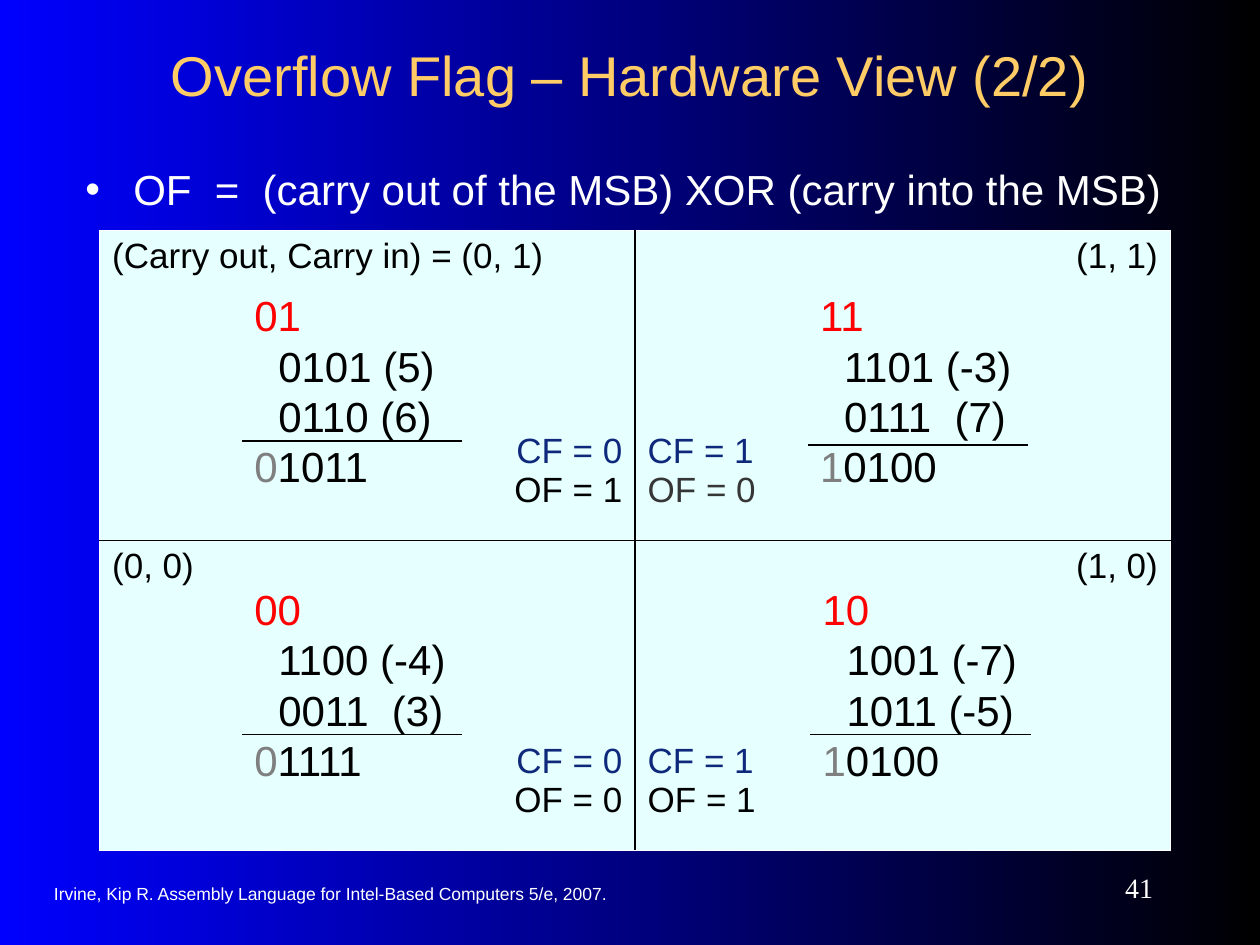
from lxml.etree import SubElement
from pptx import Presentation
from pptx.dml.color import RGBColor
from pptx.enum.shapes import MSO_CONNECTOR
from pptx.enum.text import MSO_ANCHOR, PP_ALIGN
from pptx.oxml.ns import qn
from pptx.util import Inches, Pt

BLUE = RGBColor(0x00, 0x00, 0xFF)
BLACK = RGBColor(0x00, 0x00, 0x00)
WHITE = RGBColor(0xFF, 0xFF, 0xFF)
GOLD = RGBColor(0xFF, 0xCC, 0x66)
NAVY = RGBColor(0x0E, 0x29, 0x7B)
DARK = RGBColor(0x36, 0x36, 0x36)
GRAY = RGBColor(0x7F, 0x7F, 0x7F)
RED = RGBColor(0xFF, 0x00, 0x00)
PALE = RGBColor(0xE6, 0xFF, 0xFF)

LEFT, RIGHT = PP_ALIGN.LEFT, PP_ALIGN.RIGHT
CELLS = [
    [("(Carry out, Carry in) = (0, 1)", "CF = 0", "OF = 1", BLACK),
     ("(1, 1)", "CF = 1", "OF = 0", DARK)],
    [("(0, 0)", "CF = 0", "OF = 0", BLACK),
     ("(1, 0)", "CF = 1", "OF = 1", BLACK)],
]
SUMS = [
    (6.43, 4.58, 1.25, "10", "1001 (-7)", "1011 (-5)", "1", "0100"),
    (6.41, 2.25, 1.28, "11", "1101 (-3)", "0111  (7)", "1", "0100"),
    (1.92, 4.58, 1.25, "00", "1100 (-4)", "0011  (3)", "0", "1111"),
    (1.92, 2.25, 1.25, "01", "0101 (5)", "0110 (6)", "0", "1011"),
]


def add_run(p, text, size, color, font="Arial"):
    """Append one formatted run to a paragraph."""
    r = p.add_run()
    r.text = text
    r.font.name, r.font.size = font, Pt(size)
    r.font.color.rgb = color


def add_box(shapes, x, y, w, h, anchor=MSO_ANCHOR.TOP, wrap=True):
    """Add an empty text box and return its text frame."""
    tf = shapes.add_textbox(Inches(x), Inches(y), Inches(w), Inches(h)).text_frame
    tf.word_wrap, tf.vertical_anchor = wrap, anchor
    return tf


def set_background(s):
    """Fill the slide with a gradient from left to right."""
    fill = s.background.fill
    fill.gradient()
    fill.gradient_angle = 0
    for stop, color in zip(fill.gradient_stops, (BLUE, BLACK)):
        stop.color.rgb = color


def add_title(s, x, y, w, h):
    """Place and format the title placeholder."""
    sp = s.shapes.title
    sp.left, sp.top, sp.width, sp.height = (Inches(v) for v in (x, y, w, h))
    tf = sp.text_frame
    tf.vertical_anchor = MSO_ANCHOR.MIDDLE
    p = tf.paragraphs[0]
    p.alignment = PP_ALIGN.CENTER
    add_run(p, "Overflow Flag – Hardware View (2/2)", 32, GOLD)


def add_rule(s, x, y, w, h):
    """Add the bulleted formula."""
    p = add_box(s.shapes, x, y, w, h).paragraphs[0]
    pPr = p._p.get_or_add_pPr()
    pPr.set("marL", str(Inches(0.38)))
    pPr.set("indent", str(-Inches(0.38)))
    color = SubElement(pPr, qn("a:buClr"))
    SubElement(color, qn("a:srgbClr"), val=str(WHITE))
    SubElement(pPr, qn("a:buFont"), typeface="Arial")
    SubElement(pPr, qn("a:buChar"), char="•")
    add_run(p, "OF  =  (carry out of the MSB) XOR (carry into the MSB)", 24, WHITE)


def set_borders(cell, row, col):
    """Draw black inner borders and white outer borders on a cell."""
    tcPr = cell._tc.get_or_add_tcPr()
    inner = {"lnL": col == 1, "lnR": col == 0, "lnT": row == 1, "lnB": row == 0}
    for tag, is_inner in inner.items():
        ln = SubElement(tcPr, qn(f"a:{tag}"), w=str(Pt(1)))
        fill = SubElement(ln, qn("a:solidFill"))
        SubElement(fill, qn("a:srgbClr"), val=str(BLACK if is_inner else WHITE))


def fill_cell(cell, row, col, carries, cf, of, of_color):
    """Write the carries and the flags into one table cell."""
    set_borders(cell, row, col)
    cell.fill.solid()
    cell.fill.fore_color.rgb = PALE
    cell.margin_left = cell.margin_right = Inches(0.1)
    cell.margin_top = cell.margin_bottom = Inches(0.05)
    tf = cell.text_frame
    outer, inner = (RIGHT, LEFT) if col else (LEFT, RIGHT)
    lines = [(carries, BLACK, outer), (cf, NAVY, inner), (of, of_color, inner)]
    for i, (text, color, align) in enumerate(lines):
        p = tf.add_paragraph() if i else tf.paragraphs[0]
        p.alignment = align
        if i == 1:
            p.space_before = Pt(89)
        add_run(p, text, 20, color)


def add_flag_table(s, x, y, w, h):
    """Add the two by two table of carries and flags."""
    table = s.shapes.add_table(2, 2, Inches(x), Inches(y), Inches(w), Inches(h)).table
    table.first_row = table.horz_banding = False
    for row, cells in enumerate(CELLS):
        for col, content in enumerate(cells):
            fill_cell(table.cell(row, col), row, col, *content)


def add_sum(s, x, y, line_dy, carries, first, second, carry, result):
    """Add one binary addition with the line above its result."""
    shapes = s.shapes.add_group_shape().shapes
    tf = add_box(shapes, x, y, 1.75, 1.72, wrap=False)
    rows = [[(carries, RED)], [(first, BLACK)], [(second, BLACK)],
            [(carry, GRAY), (result, BLACK)]]
    for i, runs in enumerate(rows):
        p = tf.add_paragraph() if i else tf.paragraphs[0]
        if i in (1, 2):
            p._p.get_or_add_pPr().set("marL", str(Inches(0.19)))
        for text, color in runs:
            add_run(p, text, 24, color)
    line_y = Inches(y + line_dy)
    line = shapes.add_connector(
        MSO_CONNECTOR.STRAIGHT, Inches(x), line_y, Inches(x + 1.75), line_y)
    line.line.color.rgb, line.line.width = BLACK, Pt(1)
    SubElement(line._element.spPr, qn("a:effectLst"))


def add_footer(s):
    """Add the citation and the slide number."""
    tf = add_box(s.shapes, 0.33, 6.93, 5.25, 0.33, MSO_ANCHOR.MIDDLE)
    add_run(tf.paragraphs[0],
            "Irvine, Kip R. Assembly Language for Intel-Based Computers 5/e, 2007.",
            10, WHITE)
    p = add_box(s.shapes, 8.17, 6.83, 1.08, 0.42, MSO_ANCHOR.MIDDLE).paragraphs[0]
    p.alignment = RIGHT
    add_run(p, "41", 16, WHITE, "Times New Roman")


def main():
    """Build and save the slide."""
    prs = Presentation()
    prs.slide_width, prs.slide_height = Inches(10), Inches(7.5)
    s = prs.slides.add_slide(prs.slide_layouts[5])
    set_background(s)
    add_title(s, 0.75, 0.25, 8.5, 0.67)
    add_footer(s)
    add_rule(s, 0.58, 1.25, 8.92, 0.5)
    add_flag_table(s, 0.79, 1.83, 8.5, 4.92)
    for binary_sum in SUMS:
        add_sum(s, *binary_sum)
    prs.save("out.pptx")


if __name__ == "__main__":
    main()
